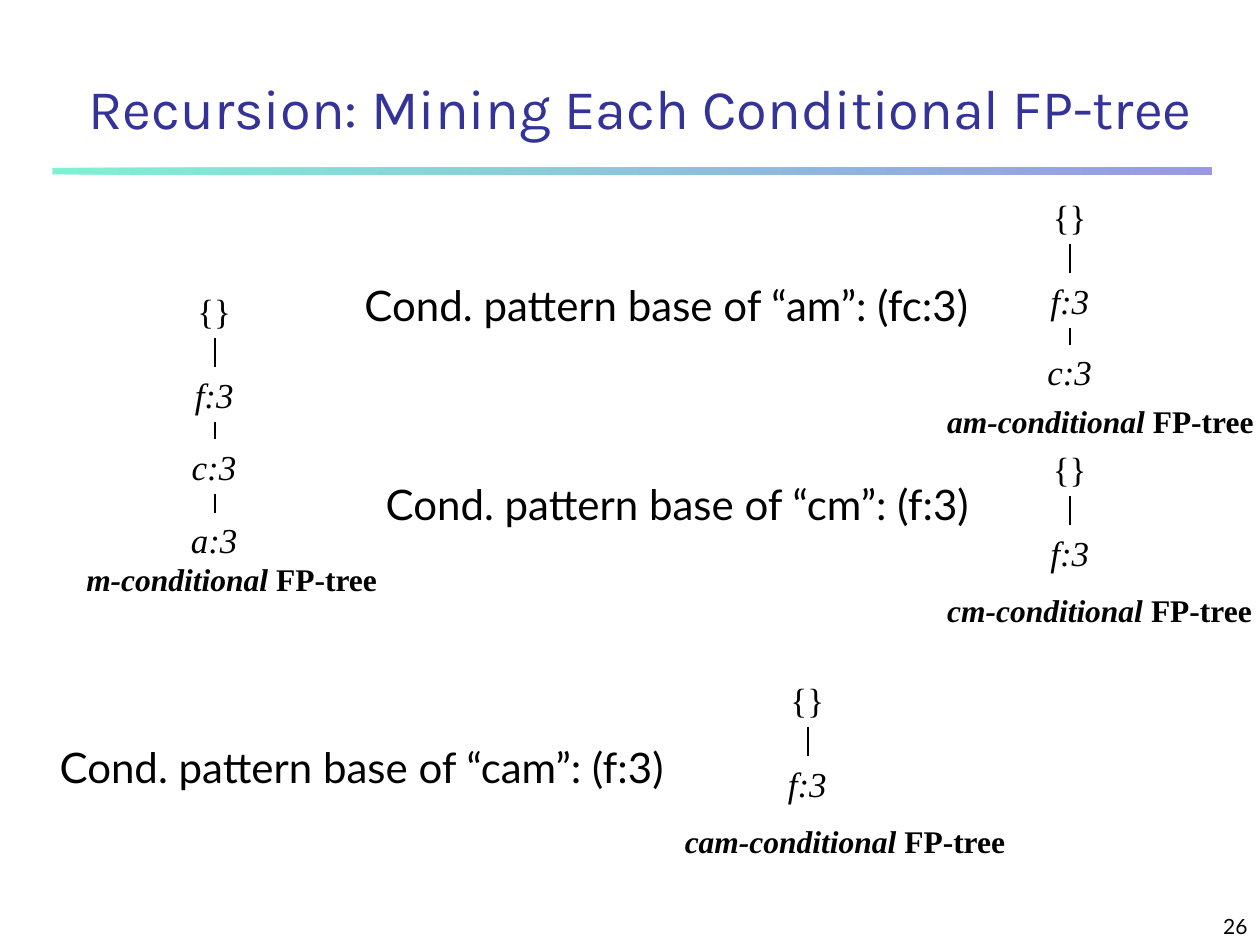
from lxml.etree import SubElement
from pptx import Presentation
from pptx.dml.color import RGBColor
from pptx.enum.shapes import MSO_CONNECTOR, MSO_SHAPE
from pptx.enum.text import MSO_ANCHOR, MSO_AUTO_SIZE, PP_ALIGN
from pptx.oxml.ns import qn
from pptx.util import Pt

BLACK = RGBColor(0, 0, 0)
NAVY = RGBColor(0x33, 0x33, 0x99)
MINT = RGBColor(0x00, 0xE4, 0xA8)
BLUE = RGBColor(0x33, 0x33, 0xCC)

HEAD = dict(name="Karla", size=Pt(32))
BODY = dict(name="Lato", size=Pt(24))
PAGE = dict(name="Lato", size=Pt(12))
ROOT = dict(name="Times New Roman", size=Pt(20))
NODE = dict(ROOT, italic=True)
TAG = dict(name="Times New Roman", size=Pt(18), bold=True)
LEAN = dict(TAG, italic=True)

GROW = dict(word_wrap=False, auto_size=MSO_AUTO_SIZE.SHAPE_TO_FIT_TEXT)
FIXED = dict(word_wrap=True, vertical_anchor=MSO_ANCHOR.BOTTOM)

STEPS = (0, 48, 89, 131)
WIDTHS = {"{}": 34, "f:3": 37, "c:3": 40.5, "a:3": 41.5}
NODE_H = 31.3


def style(thing, form):
    for key, value in form.items():
        setattr(thing, key, value)


def add_text(host, box, runs, frame=GROW, align=PP_ALIGN.LEFT, color=BLACK):
    shape = host.add_textbox(*map(Pt, box))
    style(shape.text_frame, frame)
    para = shape.text_frame.paragraphs[0]
    para.alignment = align
    for text, form in runs:
        run = para.add_run()
        run.text = text
        style(run.font, form)
        run.font.color.rgb = color
    return shape


def add_link(host, upper, lower):
    link = host.add_connector(MSO_CONNECTOR.STRAIGHT, 0, 0, 0, 0)
    link.begin_connect(upper, 2)
    link.end_connect(lower, 0)
    link.line.color.rgb = BLACK
    link.line.width = Pt(1)
    SubElement(link.element.spPr, qn("a:effectLst"))


def add_tree(host, mid, top, names, label, box):
    nodes = []
    for name, step in zip(names, STEPS):
        wide = WIDTHS[name]
        form = ROOT if name == "{}" else NODE
        place = (mid - wide / 2, top + step, wide, NODE_H)
        nodes.append(add_text(host, place, [(name, form)]))
    for upper, lower in zip(nodes, nodes[1:]):
        add_link(host, upper, lower)
    runs = [(label + "-conditional ", LEAN), ("FP-tree", TAG)]
    add_text(host, (*box, 28.8), runs)


def add_base(host, left, top, wide, text):
    add_text(host, (left, top, wide, 36),
             [("Cond. pattern base of " + text, BODY)])


def add_rule(host):
    rule = host.add_shape(MSO_SHAPE.RECTANGLE, Pt(30), Pt(96), Pt(662.5), Pt(3.75))
    rule.shadow.inherit = False
    rule.line.fill.background()
    rule.fill.gradient()
    rule.fill.gradient_angle = 0
    for stop, color, place in zip(rule.fill.gradient_stops, (MINT, BLUE), (0, 1)):
        stop.color.rgb = color
        stop.position = place
    for tint in rule.element.spPr.iter(qn("a:srgbClr")):
        SubElement(tint, qn("a:alpha"), val="50000")


def main():
    deck = Presentation()
    deck.slide_width, deck.slide_height = Pt(720), Pt(540)
    slide = deck.slides.add_slide(deck.slide_layouts[6])
    host = slide.shapes

    add_rule(host)
    add_text(host, (570, 510, 150, 30), [("26", PAGE)], FIXED, PP_ALIGN.RIGHT)
    add_text(host, (30, 30, 672.5, 54),
             [("Recursion: Mining Each Conditional FP-tree", HEAD)],
             FIXED, PP_ALIGN.CENTER, NAVY)

    add_tree(host.add_group_shape().shapes, 122.7, 162,
             ("{}", "f:3", "c:3", "a:3"), "m", (42.2, 316.4, 181))
    add_base(host, 201.2, 156, 385, "“am”: (fc:3)")
    add_tree(host.add_group_shape().shapes, 611.6, 108,
             ("{}", "f:3", "c:3"), "am", (534.2, 226, 189.5))
    add_base(host, 213.3, 270, 371.5, "“cm”: (f:3)")
    add_tree(host, 611.6, 252, ("{}", "f:3"), "cm", (534.2, 334, 188.5))
    add_base(host, 27, 420, 385, "“cam”: (f:3)")
    add_tree(host, 461.6, 384, ("{}", "f:3"), "cam", (384.2, 466, 198))

    deck.save("out.pptx")


if __name__ == "__main__":
    main()
